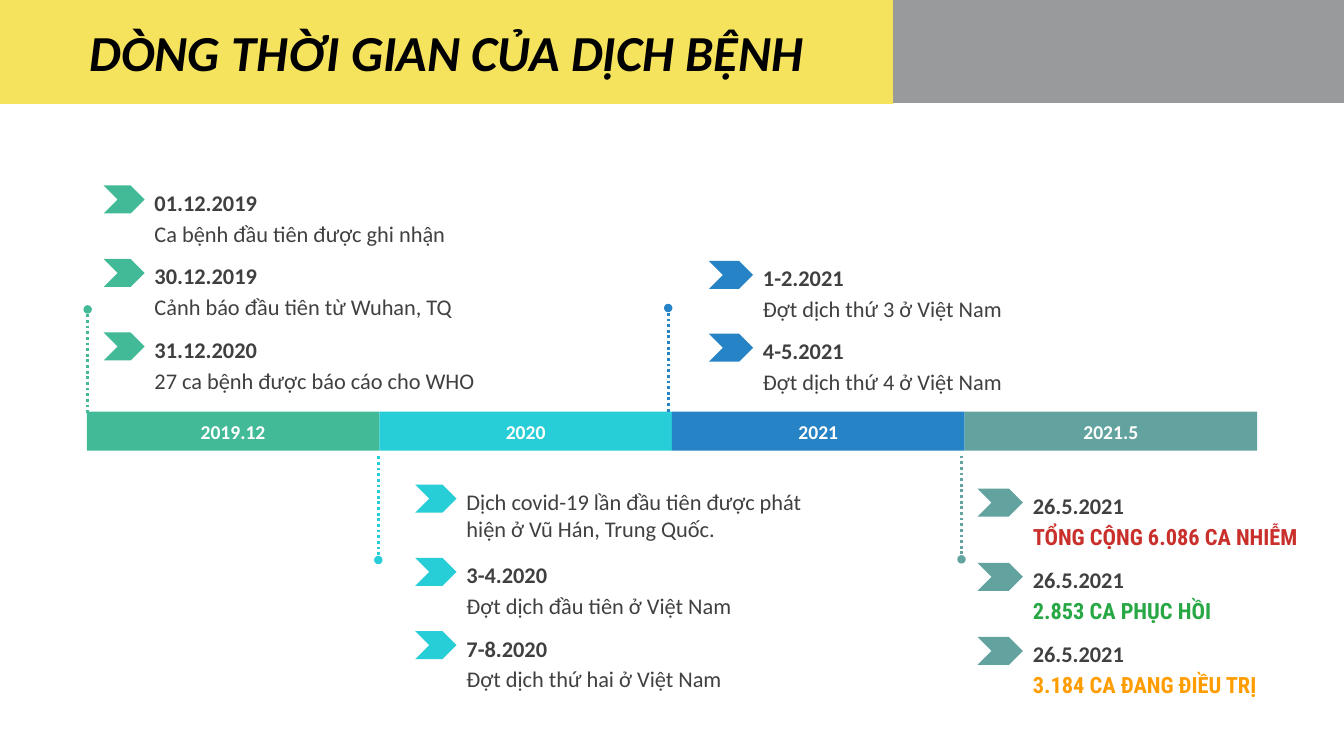
from lxml import etree
from pptx import Presentation
from pptx.dml.color import RGBColor
from pptx.enum.dml import MSO_LINE
from pptx.enum.shapes import MSO_CONNECTOR, MSO_SHAPE
from pptx.enum.text import MSO_ANCHOR, MSO_AUTO_SIZE, PP_ALIGN
from pptx.oxml.ns import qn
from pptx.util import Pt

RECTANGLE, CHEVRON = MSO_SHAPE.RECTANGLE, MSO_SHAPE.CHEVRON
STRAIGHT, DOTTED = MSO_CONNECTOR.STRAIGHT, MSO_LINE.ROUND_DOT
LEFT, CENTER = PP_ALIGN.LEFT, PP_ALIGN.CENTER
TOP, MIDDLE = MSO_ANCHOR.TOP, MSO_ANCHOR.MIDDLE
TITLE_ONLY = 5

COLORS = {
    "yellow": "F6E35D", "yellow line": "F5E35D", "gray": "999A9C",
    "green": "42BA97", "cyan": "27CED7", "blue": "2683C6", "teal": "62A39F",
    "black": "000000", "text": "404040", "white": "FFFFFF",
    "infected": "C9302C", "recovered": "28A745", "treated": "FF9C00",
}
BODY_FONT, COUNT_FONT = "Calibri", "Roboto Condensed"

BAR = (62, 294, 836, 28)
STEM_LENGTH = 74
CHEVRON_HEIGHT = 20
HEADING_HEIGHT = 22
LINE_HEIGHT = 26.5

# Each period: bar label, colour, stem (x, start, direction),
# events box (left, top, width), chevron width, pitch, and events as
# (date, detail, detail colour)
PERIODS = [
    ("2019.12", "green", (62.6, 295, -1), (74, 132.5, 300), 29.3, 52.5, [
        ("01.12.2019", "Ca bệnh đầu tiên được ghi nhận", "text"),
        ("30.12.2019", "Cảnh báo đầu tiên từ Wuhan, TQ", "text"),
        ("31.12.2020", "27 ca bệnh được báo cáo cho WHO", "text"),
    ]),
    ("2020", "cyan", (270.2, 326, 1), (296.6, 346.2, 289), 29.5, 52.3, [
        ("", "Dịch covid-19 lần đầu tiên được phát hiện ở Vũ Hán, Trung Quốc.",
         "text"),
        ("3-4.2020", "Đợt dịch đầu tiên ở Việt Nam", "text"),
        ("7-8.2020", "Đợt dịch thứ hai ở Việt Nam", "text"),
    ]),
    ("2021", "blue", (477.3, 294, -1), (506.3, 186.4, 286), 31.6, 52, [
        ("1-2.2021", "Đợt dịch thứ 3 ở Việt Nam", "text"),
        ("4-5.2021", "Đợt dịch thứ 4 ở Việt Nam", "text"),
    ]),
    ("2021.5", "teal", (686.8, 325.5, 1), (698.2, 349, 258), 32.4, 53, [
        ("26.5.2021", "TỔNG CỘNG 6.086 CA NHIỄM", "infected"),
        ("26.5.2021", "2.853 CA PHỤC HỒI", "recovered"),
        ("26.5.2021", "3.184 CA ĐANG ĐIỀU TRỊ", "treated"),
    ]),
]


def rgb(name):
    return RGBColor.from_string(COLORS[name])


def write_text(shape, text, size=16, color="text", font=BODY_FONT, bold=False,
               italic=False, align=LEFT, anchor=TOP):
    frame = shape.text_frame
    frame.word_wrap = True
    frame.auto_size = MSO_AUTO_SIZE.NONE
    frame.vertical_anchor = anchor
    paragraph = frame.paragraphs[0]
    paragraph.alignment = align
    run = paragraph.add_run()
    run.text = text
    run.font.name = font
    run.font.size = Pt(size)
    run.font.bold = bold
    run.font.italic = italic
    run.font.color.rgb = rgb(color)


def add_block(slide, kind, box, color):
    shape = slide.shapes.add_shape(kind, *map(Pt, box))
    shape.shadow.inherit = False
    shape.fill.solid()
    shape.fill.fore_color.rgb = rgb(color)
    shape.line.fill.background()
    return shape


def add_label(slide, box, text, **text_format):
    write_text(slide.shapes.add_textbox(*map(Pt, box)), text, **text_format)


# Header band: title on yellow, plain gray beside it
def add_header(slide, box, title_width):
    left, top, width, height = box
    title = slide.shapes.title
    title.left, title.top = Pt(left), Pt(top)
    title.width, title.height = Pt(title_width), Pt(height)
    title.fill.solid()
    title.fill.fore_color.rgb = rgb("yellow")
    title.line.color.rgb = rgb("yellow line")
    title.line.width = Pt(1)
    write_text(title, "DÒNG THỜI GIAN CỦA DỊCH BỆNH", size=36, color="black",
               bold=True, italic=True, align=CENTER, anchor=MIDDLE)
    add_block(slide, RECTANGLE,
              (left + title_width, top, width - title_width, height), "gray")


# Timeline bar: equal segments, one per period
def add_bar(slide, box):
    left, top, width, height = box
    segment = width / len(PERIODS)
    for index, (label, color, *_) in enumerate(PERIODS):
        shape = add_block(slide, RECTANGLE,
                          (left + index * segment, top, segment, height), color)
        write_text(shape, label, size=14, color="white", bold=True,
                   align=CENTER, anchor=MIDDLE)


# Dotted stem ending in a dot
def add_stem(slide, x, start, direction, color):
    end = start + direction * STEM_LENGTH
    stem = slide.shapes.add_connector(STRAIGHT, Pt(x), Pt(start), Pt(x), Pt(end))
    stem.line.color.rgb = rgb(color)
    stem.line.width = Pt(2)
    stem.line.dash_style = DOTTED
    properties = stem.line._get_or_add_ln()
    etree.SubElement(properties, qn("a:tailEnd"), type="oval")
    etree.SubElement(stem._element.spPr, qn("a:effectLst"))


# Column of events, each with a chevron, a date and a detail
def add_events(slide, box, chevron_width, pitch, color, events):
    left, first_top, width = box
    text_left, text_width = left + chevron_width, width - chevron_width
    for index, (date, detail, detail_color) in enumerate(events):
        top = first_top + index * pitch
        add_block(slide, CHEVRON, (left, top, chevron_width, CHEVRON_HEIGHT),
                  color)
        text_top = top - 1
        detail_height = LINE_HEIGHT
        if date:
            add_label(slide, (text_left, text_top, text_width, LINE_HEIGHT),
                      date, bold=True)
            text_top += HEADING_HEIGHT
        else:
            detail_height = 46
        is_count = detail_color != "text"
        add_label(slide, (text_left, text_top, text_width, detail_height),
                  detail, color=detail_color, bold=is_count,
                  font=COUNT_FONT if is_count else BODY_FONT)


def main():
    presentation = Presentation()
    presentation.slide_width, presentation.slide_height = Pt(960), Pt(540)
    slide = presentation.slides.add_slide(presentation.slide_layouts[TITLE_ONLY])
    add_header(slide, (0, 0, 960, 73.5), 638)
    add_bar(slide, BAR)
    for _, color, stem, box, chevron_width, pitch, events in PERIODS:
        add_stem(slide, *stem, color)
        add_events(slide, box, chevron_width, pitch, color, events)
    presentation.save("out.pptx")


if __name__ == "__main__":
    main()
